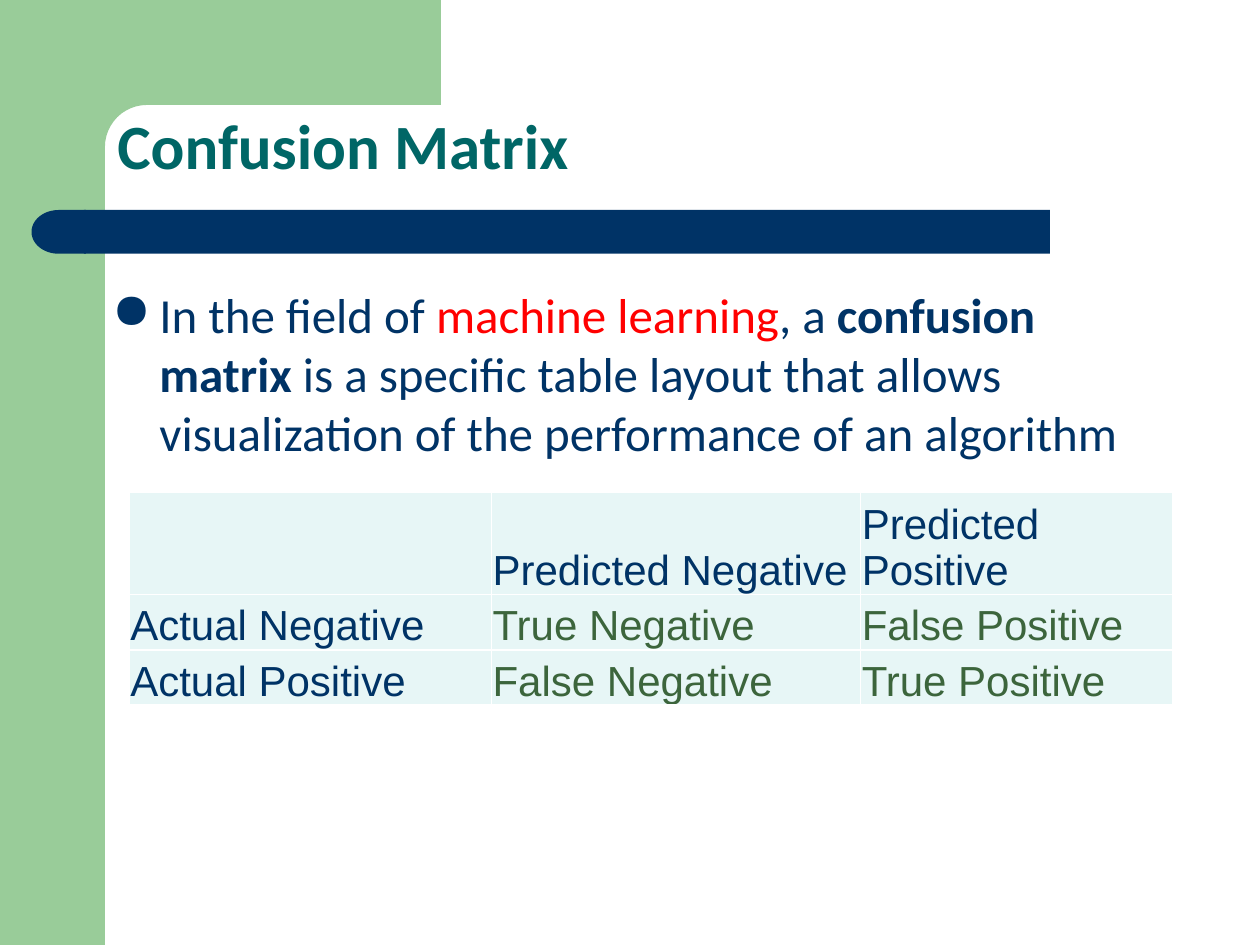
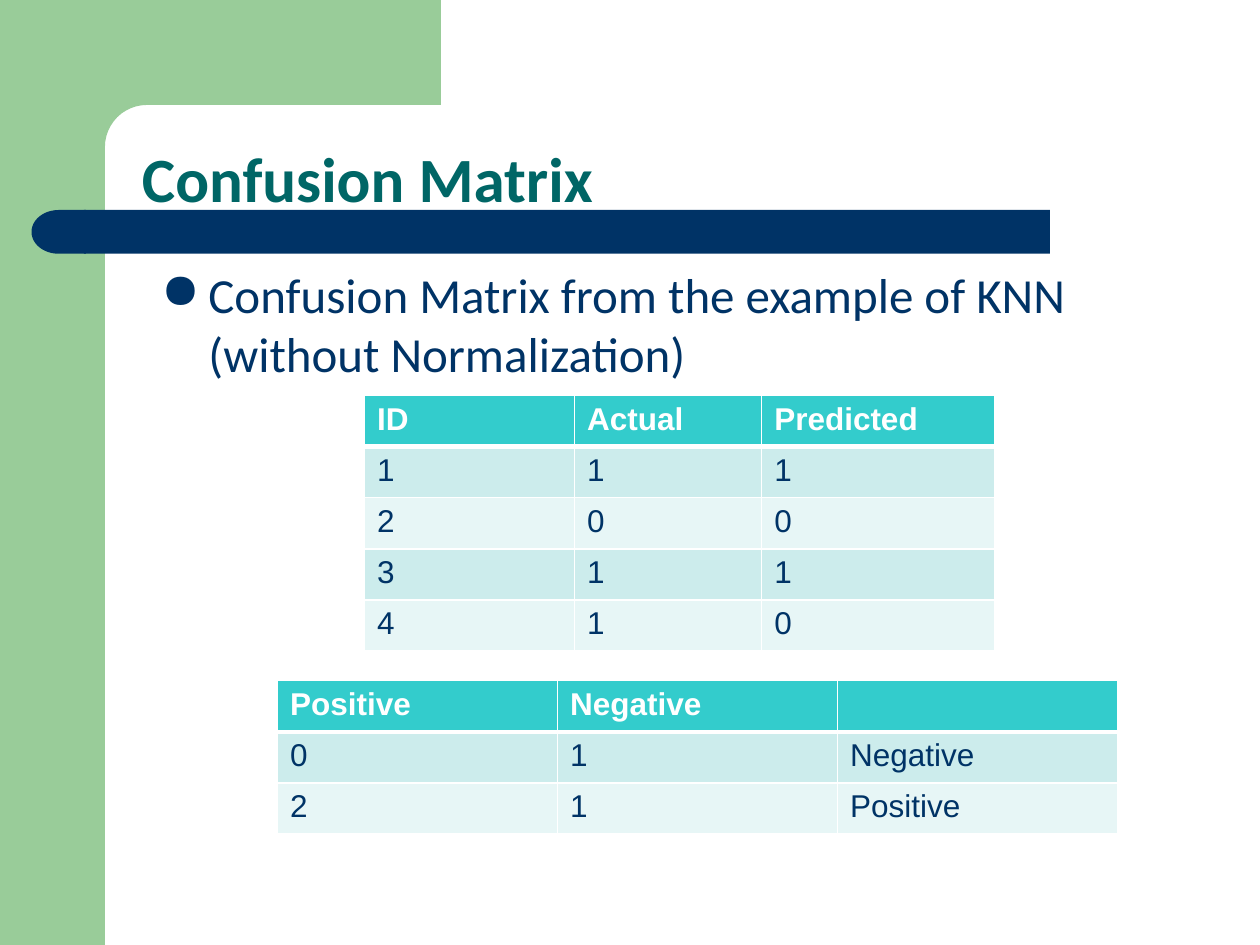
import math
from lxml import etree
from pptx import Presentation
from pptx.dml.color import RGBColor
from pptx.enum import shapes, text
from pptx.oxml import ns
from pptx.util import Pt

GREEN = RGBColor(0x99, 0xCC, 0x99)
NAVY = RGBColor(0x00, 0x33, 0x66)
TEAL = RGBColor(0x00, 0x66, 0x66)
RED = RGBColor(0xFF, 0x00, 0x00)
LEAF = RGBColor(0x3C, 0x65, 0x3C)
AQUA = RGBColor(0x33, 0xCC, 0xCC)
MIST = RGBColor(0xCC, 0xEC, 0xEC)
PALE = RGBColor(0xE7, 0xF6, 0xF6)
WHITE = RGBColor(0xFF, 0xFF, 0xFF)

TITLE = {"name": "Calibri", "size": Pt(36), "bold": True}
BODY = {"name": "Calibri", "size": Pt(28), "bold": False}
LARGE_CELL = {"name": "Arial", "size": Pt(24), "bold": False}
CELL = {"name": "Arial", "size": Pt(18), "bold": False}
HEADER_CELL = CELL | {"bold": True}
CELL_MARGINS = {"margin_left": Pt(7.2), "margin_right": Pt(7.2),
                "margin_top": Pt(3.6), "margin_bottom": Pt(3.6)}
TIGHT_MARGINS = {"margin_left": Pt(0.7), "margin_right": Pt(0.7),
                 "margin_top": Pt(0.7), "margin_bottom": Pt(0),
                 "vertical_anchor": text.MSO_ANCHOR.BOTTOM}


class Deck:
    """Holds the shared style and the slide being built."""

    def __init__(self):
        self.presentation = Presentation()
        self.presentation.slide_width = Pt(720)
        self.presentation.slide_height = Pt(540)
        self.slide = None

    def apply(self, target, values):
        for name, value in values.items():
            setattr(target, name, value)

    def add_run(self, paragraph, words, style, color):
        run = paragraph.add_run()
        run.text = words
        self.apply(run.font, style)
        run.font.color.rgb = color

    def paint(self, shape, color):
        shape.shadow.inherit = False
        shape.fill.solid()
        shape.fill.fore_color.rgb = color
        shape.line.fill.background()

    def add_block(self, kind, place, color):
        block = self.slide.shapes.add_shape(kind, *map(Pt, place))
        self.paint(block, color)
        return block

    def add_corner(self):
        edge, radius = 60, 24
        center = edge + radius
        angles = [math.radians(270 - step * 7.5) for step in range(13)]
        arc = [(Pt(center + radius * math.cos(angle)),
                Pt(center + radius * math.sin(angle))) for angle in angles]
        builder = self.slide.shapes.build_freeform(Pt(36), Pt(0))
        builder.add_line_segments(
            [(Pt(252), Pt(0)), (Pt(252), Pt(edge)), *arc,
             (Pt(edge), Pt(92)), (Pt(36), Pt(92))])
        self.paint(builder.convert_to_shape(), GREEN)

    def add_text(self, place):
        box = self.slide.shapes.add_textbox(*map(Pt, place))
        box.text_frame.word_wrap = True
        return box.text_frame

    def start_slide(self, title, left, top):
        layout = self.presentation.slide_layouts[6]
        self.slide = self.presentation.slides.add_slide(layout)
        self.add_block(shapes.MSO_SHAPE.RECTANGLE, (0, 0, 60, 540), GREEN)
        self.add_corner()
        self.add_block(shapes.MSO_SHAPE.RECTANGLE, (48, 120, 552, 25), NAVY)
        cap = self.add_block(shapes.MSO_SHAPE.FLOWCHART_DELAY,
                             (18, 120, 31, 25), NAVY)
        cap.rotation = 180
        frame = self.add_text((left, top, 624, 48))
        frame.vertical_anchor = text.MSO_ANCHOR.BOTTOM
        frame.paragraphs[0].line_spacing = 0.9
        self.add_run(frame.paragraphs[0], title, TITLE, TEAL)

    def add_bullet(self, place, pieces):
        paragraph = self.add_text(place).paragraphs[0]
        properties = paragraph._p.get_or_add_pPr()
        properties.set("marL", str(Pt(27)))
        properties.set("indent", str(-Pt(27)))
        tint = etree.SubElement(properties, ns.qn("a:buClr"))
        etree.SubElement(tint, ns.qn("a:srgbClr"), val=str(NAVY))
        etree.SubElement(properties, ns.qn("a:buChar"), char="●")
        for words, color, bold in pieces:
            self.add_run(paragraph, words, BODY | {"bold": bold}, color)

    def add_borders(self, cell, bottom):
        properties = cell._tc.get_or_add_tcPr()
        widths = {"lnL": 1, "lnR": 1, "lnT": 1, "lnB": bottom}
        for position, (side, width) in enumerate(widths.items()):
            line = etree.Element(ns.qn(f"a:{side}"), w=str(Pt(width)))
            fill = etree.SubElement(line, ns.qn("a:solidFill"))
            etree.SubElement(fill, ns.qn("a:srgbClr"), val=str(WHITE))
            properties.insert(position, line)

    def add_table(self, left, top, widths, heights, rows, look):
        place = map(Pt, (left, top, sum(widths), sum(heights)))
        table = self.slide.shapes.add_table(len(rows), len(widths), *place).table
        self.apply(table, {"first_row": False, "horz_banding": False})
        for column, width in zip(table.columns, widths):
            column.width = Pt(width)
        for row, height in zip(table.rows, heights):
            row.height = Pt(height)
        for r, row in enumerate(rows):
            for c, words in enumerate(row):
                margins, style, color, fill, bottom = look(r, c)
                cell = table.cell(r, c)
                self.apply(cell, margins)
                cell.fill.solid()
                cell.fill.fore_color.rgb = fill
                self.add_borders(cell, bottom)
                if words:
                    self.add_run(cell.text_frame.paragraphs[0], words, style, color)


def outcome_look(r, c):
    """Give the look of a cell in the table of outcomes."""
    return TIGHT_MARGINS, LARGE_CELL, LEAF if r and c else NAVY, PALE, 1


def banded_look(r, c):
    """Give the look of a cell under a strong header row."""
    if r == 0:
        return CELL_MARGINS, HEADER_CELL, WHITE, AQUA, 3
    return CELL_MARGINS, CELL, NAVY, MIST if r % 2 else PALE, 1


def main():
    """Build and save both slides."""
    deck = Deck()

    deck.start_slide("Confusion Matrix", 60, 60)
    deck.add_bullet((57, 159, 605.5, 108), [
        ("In the field of ", NAVY, False),
        ("machine learning", RED, False),
        (", a ", NAVY, False),
        ("confusion matrix", NAVY, True),
        (" is a specific table layout that allows visualization of the "
         "performance of an algorithm", NAVY, False)])
    deck.add_table(73.8, 281.5, (207, 211, 178.5), (54, 31.5, 31.5), [
        ("", "Predicted Negative", "Predicted Positive"),
        ("Actual Negative", "True Negative", "False Positive"),
        ("Actual Positive", "False Negative", "True Positive")], outcome_look)

    deck.start_slide("Confusion Matrix", 74, 79)
    deck.add_bullet((85, 147.5, 605.5, 91.5), [
        ("Confusion Matrix from the example of KNN (without Normalization)",
         NAVY, False)])
    deck.add_table(208.3, 226, (120, 107, 133), [29.2] * 5, [
        ("ID", "Actual", "Predicted"),
        ("1", "1", "1"),
        ("2", "0", "0"),
        ("3", "1", "1"),
        ("4", "1", "0")], banded_look)
    deck.add_table(158.6, 389, [160] * 3, [29.2] * 3, [
        ("Positive", "Negative", ""),
        ("0", "1", "Negative"),
        ("2", "1", "Positive")], banded_look)

    deck.presentation.save("out.pptx")


if __name__ == "__main__":
    main()
